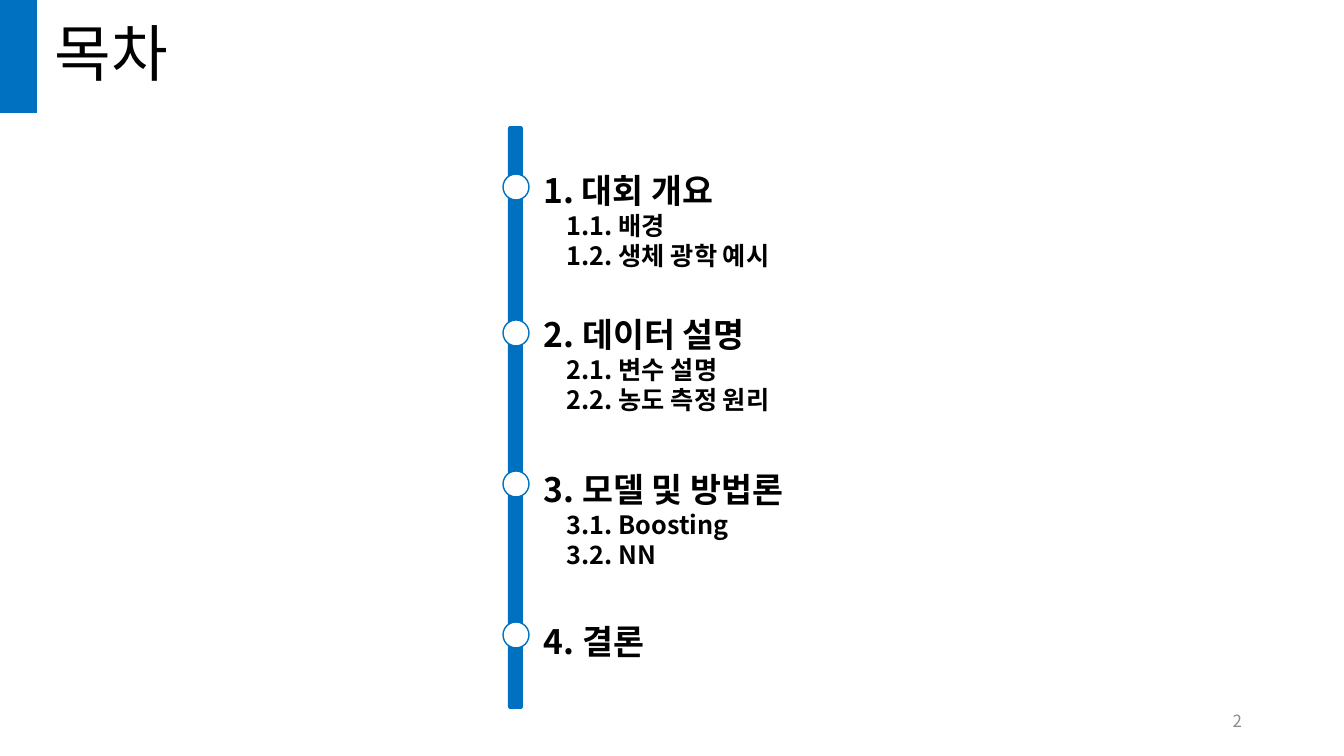
from dataclasses import dataclass

from lxml import etree
from pptx import Presentation
from pptx.dml.color import RGBColor
from pptx.enum.shapes import MSO_SHAPE
from pptx.enum.text import MSO_ANCHOR, PP_ALIGN
from pptx.oxml.ns import qn
from pptx.util import Pt

RECT = MSO_SHAPE.RECTANGLE
ROUNDED = MSO_SHAPE.ROUNDED_RECTANGLE
OVAL = MSO_SHAPE.OVAL
TOP, MIDDLE = MSO_ANCHOR.TOP, MSO_ANCHOR.MIDDLE
LEFT, RIGHT = PP_ALIGN.LEFT, PP_ALIGN.RIGHT
EMU_PER_PX = 914400 / 100.8


@dataclass(frozen=True)
class Theme:
    font: str = "Noto Sans CJK KR"
    accent: str = "0070C0"
    paper: str = "FFFFFF"
    ink: str = "000000"
    muted: str = "8C8C8C"
    title: int = 44
    heading: int = 24
    item: int = 18
    number: int = 12


THEME = Theme()

SECTIONS = [
    (48, 39, "대회 개요", ["1.1. 배경", "1.2. 생체 광학 예시"]),
    (194, 183, "2. 데이터 설명", ["2.1. 변수 설명", "2.2. 농도 측정 원리"]),
    (345, 338, "3. 모델 및 방법론", ["3.1. Boosting", "3.2. NN"]),
    (496, 490, "4. 결론", []),
]


def px(length):
    return round(length * EMU_PER_PX)


def add_block(slide, kind, box, fill, line=None):
    block = slide.shapes.add_shape(kind, *map(px, box))
    block.shadow.inherit = False
    block.fill.solid()
    block.fill.fore_color.rgb = RGBColor.from_string(fill)
    if line:
        block.line.color.rgb = RGBColor.from_string(line)
        block.line.width = Pt(1)
    else:
        block.line.fill.background()


def add_text_frame(slide, box, anchor=TOP):
    frame = slide.shapes.add_textbox(*map(px, box)).text_frame
    frame.word_wrap = True
    frame.vertical_anchor = anchor
    return frame


def write(paragraph, text, size, color=THEME.ink, bold=False, align=LEFT,
          spacing=None, margin=0, numbered=False):
    paragraph.alignment = align
    if spacing:
        paragraph.line_spacing = spacing
    properties = paragraph._p.get_or_add_pPr()
    properties.set("marL", str(px(margin)))
    if numbered:
        properties.set("indent", str(-px(margin)))
        etree.SubElement(properties, qn("a:buAutoNum"), type="arabicPeriod")
    run = paragraph.add_run()
    run.text = text
    run.font.name = THEME.font
    run.font.size = Pt(size)
    run.font.bold = bold
    run.font.color.rgb = RGBColor.from_string(color)
    etree.SubElement(run._r.get_or_add_rPr(), qn("a:ea"), typeface=THEME.font)


def add_header(slide, box):
    left, top, width, height = box
    add_block(slide, RECT, (left, top, 37, height), THEME.accent)
    title = add_text_frame(slide, (left + 45, top + 9, width - 45, 96), MIDDLE)
    write(title.paragraphs[0], "목차", THEME.title, spacing=0.9)


def add_section(slide, box, heading, items, numbered):
    frame = add_text_frame(slide, box)
    write(frame.paragraphs[0], heading, THEME.heading, bold=True,
          margin=38 if numbered else 0, numbered=numbered)
    for item in items:
        write(frame.add_paragraph(), item, THEME.item, bold=True, margin=23)


def add_timeline(slide, box):
    left, top, width, height = box
    add_block(slide, ROUNDED, (left + 5, top, 15, height), THEME.accent)
    for index, (node_y, text_y, heading, items) in enumerate(SECTIONS):
        add_block(slide, OVAL, (left, top + node_y, 26, 26), THEME.paper, THEME.accent)
        text_box = (left + 31, top + text_y, width - 31, 50 + 31 * len(items))
        add_section(slide, text_box, heading, items, numbered=index == 0)


def add_page_number(slide, box):
    frame = add_text_frame(slide, box, MIDDLE)
    write(frame.paragraphs[0], "2", THEME.number, color=THEME.muted, align=RIGHT)


def main():
    deck = Presentation()
    deck.slide_width, deck.slide_height = px(1344), px(756)
    slide = deck.slides.add_slide(deck.slide_layouts[6])
    add_header(slide, (0, 0, 1191, 113))
    add_timeline(slide, (503, 126, 467, 583))
    add_page_number(slide, (950, 701, 302, 40))
    deck.save("out.pptx")


main()
